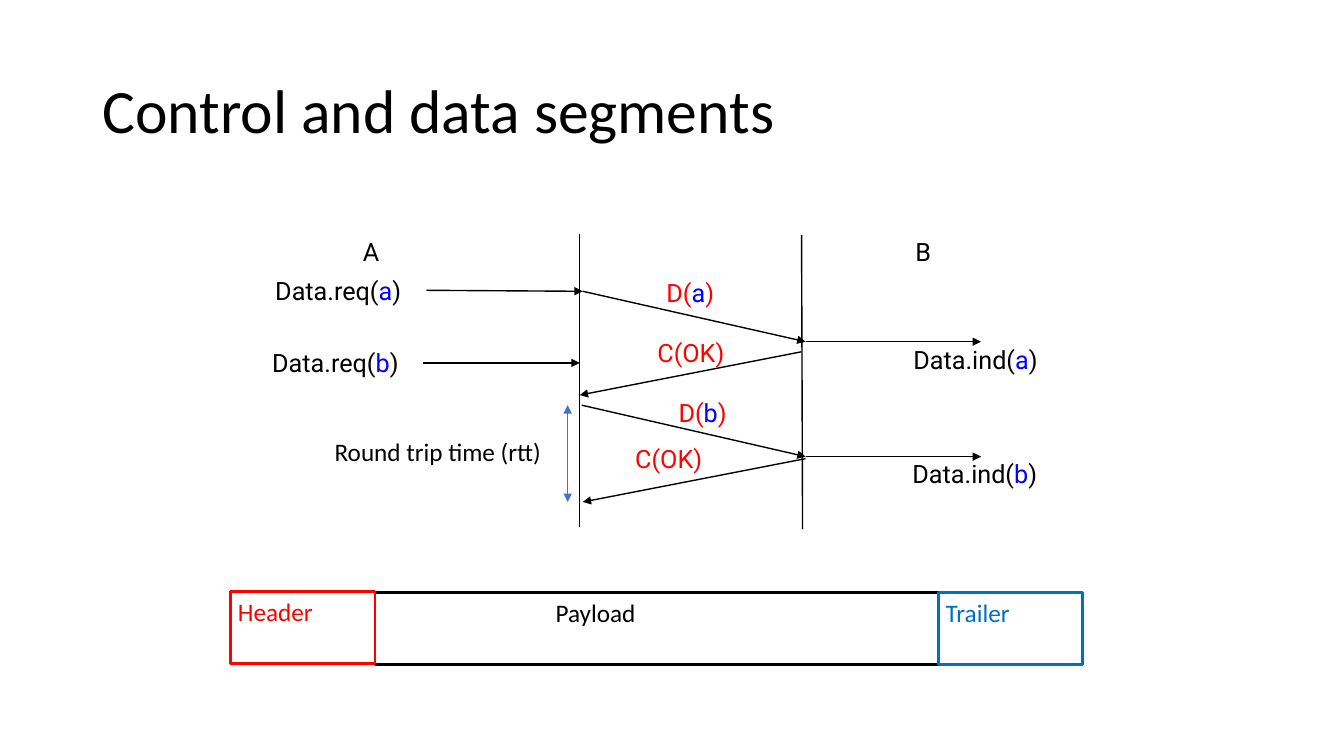
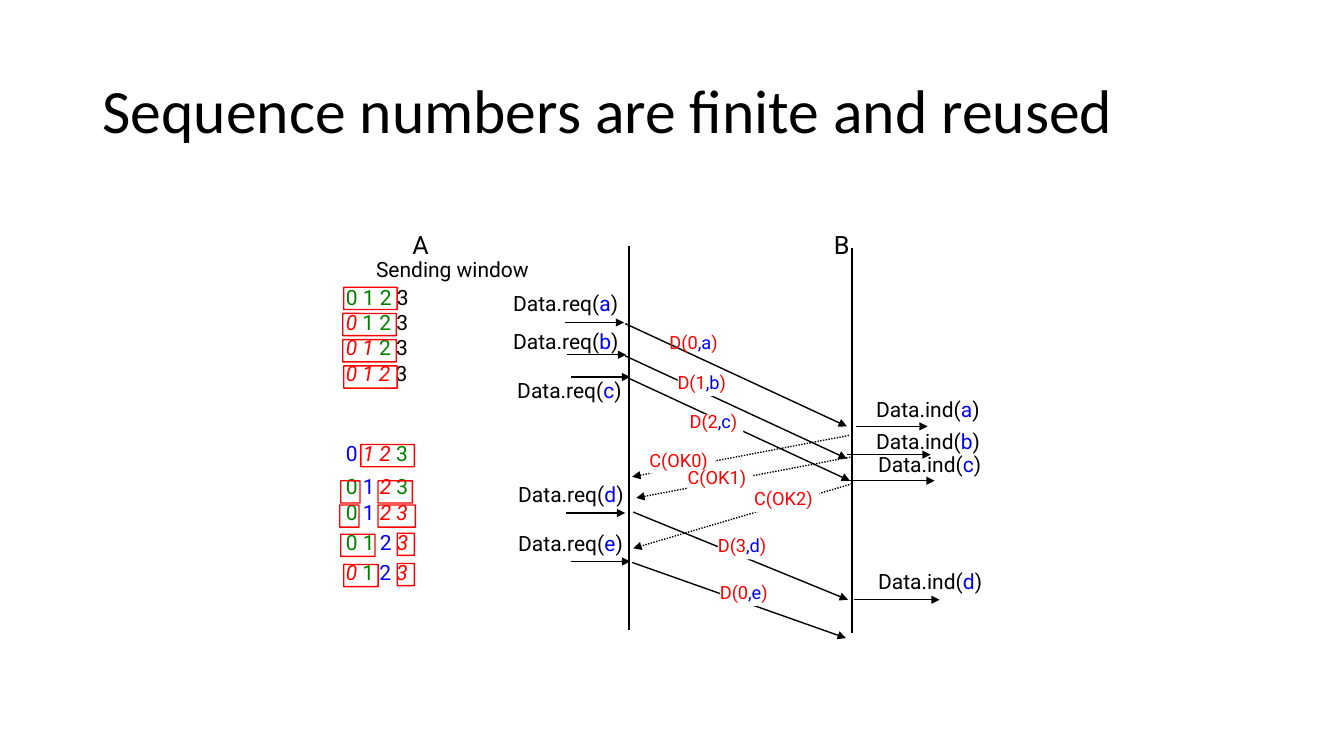
from lxml import etree
from pptx import Presentation
from pptx.dml.color import RGBColor
from pptx.enum import dml, shapes, text
from pptx.oxml.ns import qn
from pptx.util import Inches, Pt

COLORS = {"black": "000000", "white": "FFFFFF", "red": "FF0000", "data": "0000FF",
          "free": "008000", "trailer": "0070C0", "rtt": "4472C4"}
BODY_FONT, TITLE_FONT = "Roboto", "Calibri"
LINE_HEIGHTS = {18: 0.26, 15: 0.22, 13: 0.19}

# Labels: text with the data part in braces, left, top, width
# Arrows: from x, from y, to x, to y
CONTROL = {
    "title": "Control and data segments",
    "lifelines": [(5.75, 2.32, 5.75, 5.23), (7.95, 2.33, 7.96, 5.25)],
    "hosts": [("A", 3.6, 2.39, 0.16), ("B", 9.08, 2.39, 0.16)],
    "arrows": [
        (4.23, 2.88, 5.78, 2.89), (5.78, 2.89, 7.99, 3.39), (7.99, 3.39, 9.73, 3.39),
        (4.2, 3.6, 5.75, 3.6), (7.95, 3.49, 5.75, 3.92),
        (5.77, 4.02, 7.99, 4.53), (7.99, 4.53, 9.73, 4.53), (7.99, 4.55, 5.78, 4.98),
    ],
    "primitives": [
        ("Data.req({a})", 2.73, 2.78, 1.28), ("Data.req({b})", 2.7, 3.49, 1.28),
        ("Data.ind({a})", 9.06, 3.46, 1.25), ("Data.ind({b})", 9.05, 4.6, 1.25),
    ],
    "segments": [
        ("D({a})", 6.61, 2.8, 0.49), ("C(OK)", 6.52, 3.39, 0.71),
        ("D({b})", 6.73, 3.99, 0.49), ("C(OK)", 6.3, 4.45, 0.71),
    ],
}
ROUND_TRIP = ("Round trip time (rtt)", 3.22, 4.28, 2.28)
ROUND_TRIP_ARROW = (5.63, 4.02, 5.63, 4.98)
# Segment fields: name, left, top, width, text indent, colour
FIELDS = [("Payload", 3.72, 5.88, 5.59, 1.79, "black"),
          ("Header", 2.29, 5.87, 1.43, 0.07, "red"),
          ("Trailer", 9.31, 5.88, 1.43, 0.07, "trailer")]

SEQUENCE = {
    "title": "Sequence numbers are finite and reused",
    "lifelines": [(6.24, 2.44, 6.24, 6.25), (8.45, 2.46, 8.45, 6.28)],
    "hosts": [("A", 4.09, 2.32, 0.16), ("B", 8.27, 2.32, 0.16)],
}
WINDOW_CAPTION = ("Sending window", 3.73, 2.58, 1.53)
# Each exchange: arrows, primitives, segment label
EXCHANGES = [
    ([(8.49, 4.23, 9.2, 4.23), (6.2, 3.21, 8.4, 4.23), (5.6, 3.2, 6.19, 3.2)],
     [("Data.req({a})", 5.09, 2.92, 1.06), ("Data.ind({a})", 8.69, 3.97, 1.04)],
     ("D(0{,a})", 6.64, 3.32, 0.51)),
    ([(6.2, 3.53, 8.4, 4.55), (8.4, 4.51, 9.23, 4.51), (5.62, 3.52, 6.21, 3.52)],
     [("Data.req({b})", 5.09, 3.3, 1.06), ("Data.ind({b})", 8.69, 4.29, 1.04)],
     ("D(1{,b})", 6.72, 3.72, 0.53)),
    ([(6.23, 3.75, 8.43, 4.77), (8.43, 4.77, 9.27, 4.77), (5.66, 3.74, 6.25, 3.74)],
     [("Data.req({c})", 5.13, 3.79, 1.05), ("Data.ind({c})", 8.71, 4.52, 1.03)],
     ("D(2{,c})", 6.84, 4.11, 0.53)),
    ([(8.42, 4.32, 6.27, 4.73)], [], ("C(OK0)", 6.44, 4.49, 0.65)),
    ([(8.46, 4.53, 6.31, 4.94)], [], ("C(OK1)", 6.82, 4.66, 0.65)),
    ([(8.45, 4.8, 6.28, 5.44)], [], ("C(OK2)", 7.48, 4.87, 0.65)),
    ([(6.28, 5.08, 8.41, 5.95), (5.61, 5.09, 6.2, 5.09), (8.47, 5.95, 9.32, 5.95)],
     [("Data.req({d})", 5.14, 4.82, 1.06), ("Data.ind({d})", 8.71, 5.68, 1.04)],
     ("D(3{,d})", 7.12, 5.34, 0.53)),
    ([(6.27, 5.58, 8.39, 6.33), (5.66, 5.57, 6.25, 5.57)],
     [("Data.req({e})", 5.14, 5.3, 1.06)],
     ("D(0{,e})", 7.14, 5.8, 0.53)),
]
# Number states: f free, s sent, a acknowledged, o outside the window
STATES = {"f": "free", "s": "red", "a": "data", "o": "black"}
# Each window: top, state of numbers 0 to 3, frames (left, top, width)
WINDOWS = [
    (2.86, "fffo", [(3.41, 2.85, 0.53)]),
    (3.11, "sffo", [(3.4, 3.11, 0.53)]),
    (3.36, "ssfo", [(3.4, 3.37, 0.53)]),
    (3.62, "ssso", [(3.41, 3.63, 0.53)]),
    (4.41, "assf", [(3.58, 4.41, 0.53)]),
    (4.74, "fasf", [(3.75, 4.77, 0.34), (3.38, 4.77, 0.19)]),
    (5, "fass", [(3.75, 5.01, 0.37), (3.37, 5.01, 0.19)]),
    (5.29, "ffas", [(3.94, 5.29, 0.17), (3.38, 5.3, 0.34)]),
    (5.59, "sfas", [(3.94, 5.59, 0.17), (3.41, 5.6, 0.34)]),
]


def rgb(name):
    return RGBColor.from_string(COLORS[name])


def style(paragraph, size, font):
    paragraph.font.size, paragraph.font.name = Pt(size), font


def add_run(paragraph, words, color, italic=False):
    run = paragraph.add_run()
    run.text = words
    run.font.color.rgb = rgb(color)
    if italic:
        run.font.italic = True


def add_text_box(slide, left, top, width, height, size, font=BODY_FONT, inset=0):
    box = slide.shapes.add_textbox(*map(Inches, (left, top, width, height)))
    frame = box.text_frame
    frame.word_wrap = False
    frame.auto_size = text.MSO_AUTO_SIZE.SHAPE_TO_FIT_TEXT
    frame.margin_left = frame.margin_right = Inches(inset)
    frame.margin_top = frame.margin_bottom = Inches(inset / 2)
    style(frame.paragraphs[0], size, font)
    return box


def add_label(slide, label, size, color="black", masked=False):
    words, left, top, width = label
    box = add_text_box(slide, left, top, width, LINE_HEIGHTS[size], size)
    frame = box.text_frame
    if masked:  # white backing hides the arrow behind the label
        box.height = Inches(0.21)
        frame.auto_size = text.MSO_AUTO_SIZE.NONE
        frame.word_wrap = True
        box.fill.solid()
        box.fill.fore_color.rgb = rgb("white")
    paragraph = frame.paragraphs[0]
    paragraph.line_spacing = 0.84
    for i, part in enumerate(words.replace("}", "{").split("{")):
        add_run(paragraph, part, "data" if i % 2 else color)


def add_line(slide, ends, ink="black", width=1, arrowheads=(), dotted=False):
    line = slide.shapes.add_connector(shapes.MSO_CONNECTOR.STRAIGHT, *map(Inches, ends))
    line.line.color.rgb = rgb(ink)
    line.line.width = Pt(width)
    if dotted:
        line.line.dash_style = dml.MSO_LINE.ROUND_DOT
    properties = line.line._get_or_add_ln()
    for end in arrowheads:
        etree.SubElement(properties, qn(f"a:{end}"), type="triangle")
    etree.SubElement(line._element.spPr, qn("a:effectLst"))


def add_outline(slide, kind, left, top, width, height, color, weight):
    outline = slide.shapes.add_shape(kind, *map(Inches, (left, top, width, height)))
    outline.shadow.inherit = False
    outline.fill.background()
    outline.line.color.rgb = rgb(color)
    outline.line.width = Pt(weight)
    return outline


def add_diagram_slide(deck, content):
    """Title, two lifelines and host names, as on every slide."""
    slide = deck.slides.add_slide(deck.slide_layouts[6])
    title = add_text_box(slide, 0.92, 0.4, 11.5, 1.45, 44, TITLE_FONT, 0.1).text_frame
    title.auto_size = text.MSO_AUTO_SIZE.NONE
    title.word_wrap = True
    title.vertical_anchor = text.MSO_ANCHOR.MIDDLE
    title.paragraphs[0].line_spacing = 0.9
    add_run(title.paragraphs[0], content["title"], "black")
    for ends in content["lifelines"]:
        add_line(slide, ends)
    for host in content["hosts"]:
        add_label(slide, host, 18)
    return slide


def build_control(deck):
    slide = add_diagram_slide(deck, CONTROL)
    for ends in CONTROL["arrows"]:
        add_line(slide, ends, arrowheads=["tailEnd"])
    for primitive in CONTROL["primitives"]:
        add_label(slide, primitive, 18)
    for segment in CONTROL["segments"]:
        add_label(slide, segment, 18, "red")

    # Segment layout
    for name, left, top, width, indent, color in FIELDS:
        field = add_outline(slide, shapes.MSO_SHAPE.RECTANGLE,
                            left, top, width, 0.71, color, 2)
        frame = field.text_frame
        frame.vertical_anchor = text.MSO_ANCHOR.TOP
        frame.margin_left = Inches(indent)
        paragraph = frame.paragraphs[0]
        paragraph.alignment = text.PP_ALIGN.LEFT
        style(paragraph, 18, TITLE_FONT)
        add_run(paragraph, name, color)

    # Round trip time
    add_line(slide, ROUND_TRIP_ARROW, "rtt", 0.5, ["headEnd", "tailEnd"])
    words, left, top, width = ROUND_TRIP
    caption = add_text_box(slide, left, top, width, 0.4, 18, TITLE_FONT, 0.1)
    add_run(caption.text_frame.paragraphs[0], words, "black")


def build_sequence(deck):
    slide = add_diagram_slide(deck, SEQUENCE)
    add_label(slide, WINDOW_CAPTION, 15)

    # Sending windows
    for top, states, frames in WINDOWS:
        numbers = add_text_box(slide, 3.43, top, 0.7, LINE_HEIGHTS[15], 15)
        paragraph = numbers.text_frame.paragraphs[0]
        paragraph.line_spacing = 0.84
        for number, state in enumerate(states):
            gap = " " if number < len(states) - 1 else ""
            add_run(paragraph, f"{number}{gap}", STATES[state], state == "s")
        for left, frame_top, width in frames:
            frame = add_outline(slide, shapes.MSO_SHAPE.ROUNDED_RECTANGLE,
                                left, frame_top, width, 0.22, "red", 1)
            frame.adjustments[0] = 0.01

    # Exchanges between the hosts
    for index, (arrows, primitives, segment) in enumerate(EXCHANGES):
        acknowledgement = segment[0].startswith("C")
        for ends in arrows:
            add_line(slide, ends, arrowheads=["tailEnd"], dotted=acknowledgement)
        for primitive in primitives:
            add_label(slide, primitive, 15)
        add_label(slide, segment, 13, "red", masked=index > 0)


def main():
    deck = Presentation()
    deck.slide_width, deck.slide_height = Inches(13.33), Inches(7.5)
    build_control(deck)
    build_sequence(deck)
    deck.save("out.pptx")


if __name__ == "__main__":
    main()
